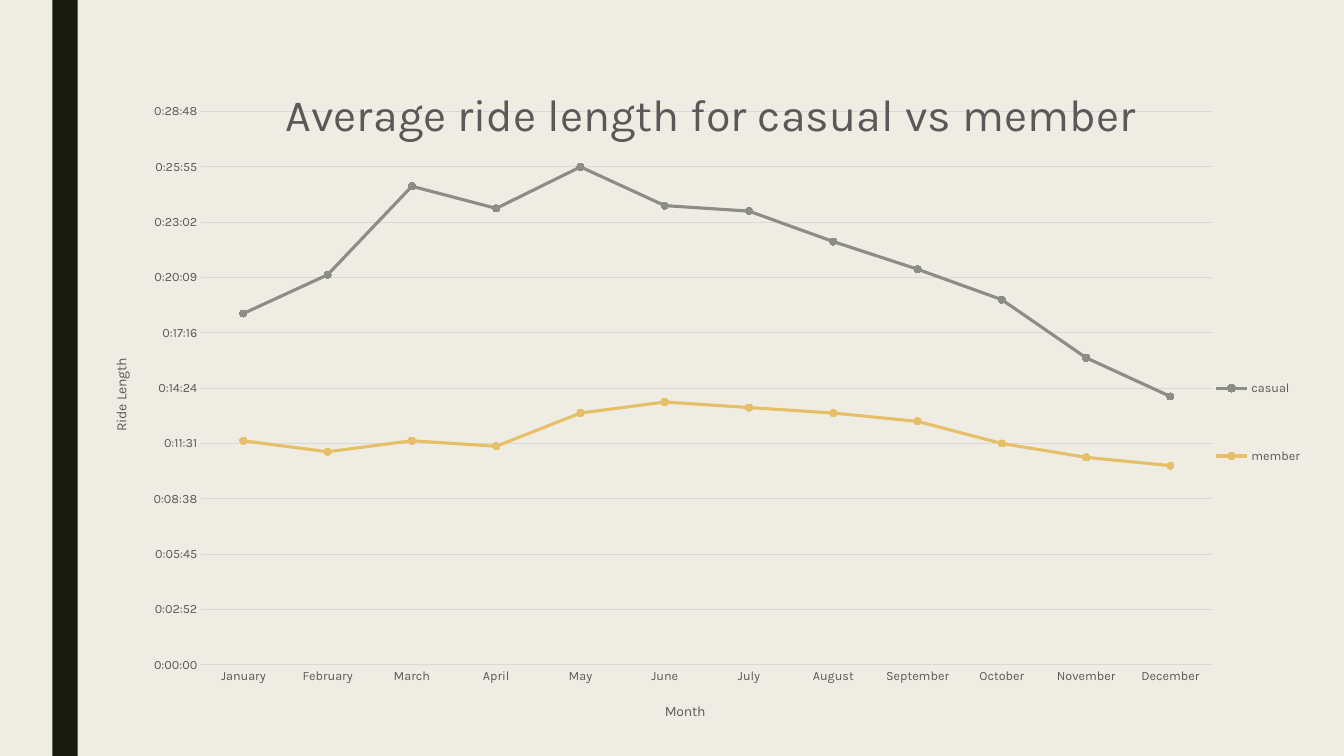
"""Build a slide with a line chart of average ride length by month and rider type."""
import pptx
import pptx.chart.data
import pptx.dml.color
import pptx.enum.chart
import pptx.enum.shapes
import pptx.oxml
import pptx.oxml.ns
import pptx.util

COLORS = {
    "background": "EFEDE3", "band": "191B0E", "text": "595959",
    "grid": "D9D9D9", "casual": "8C8D86", "member": "E6C069",
}
RIDE_LENGTHS = {
    "casual": (0.0127, 0.0141, 0.0173, 0.0165, 0.018, 0.0166,
               0.0164, 0.0153, 0.0143, 0.0132, 0.0111, 0.0097),
    "member": (0.0081, 0.0077, 0.0081, 0.0079, 0.0091, 0.0095,
               0.0093, 0.0091, 0.0088, 0.008, 0.0075, 0.0072),
}
MONTHS = ("January", "February", "March", "April", "May", "June", "July",
          "August", "September", "October", "November", "December")
FONT = "Karla"


def color(name):
    """Return the named colour."""
    return pptx.dml.color.RGBColor.from_string(COLORS[name])


def place(element, position, after=None, inner=False):
    """Give a chart part a manual layout in shares of the chart's size."""
    for layout in element.findall(pptx.oxml.ns.qn("c:layout")):
        element.remove(layout)
    target = '<c:layoutTarget val="inner"/>' if inner else ""
    modes = "".join(f'<c:{axis}Mode val="edge"/>' for axis in "xy")
    shares = "".join(f'<c:{key} val="{share}"/>' for key, share in zip("xywh", position))
    layout = pptx.oxml.parse_xml(
        f'<c:layout {pptx.oxml.ns.nsdecls("c")}><c:manualLayout>'
        f"{target}{modes}{shares}</c:manualLayout></c:layout>")
    if after:
        element.find(pptx.oxml.ns.qn(after)).addnext(layout)
    else:
        element.insert(0, layout)


presentation = pptx.Presentation()
presentation.slide_width = pptx.util.Inches(13.33)
presentation.slide_height = pptx.util.Inches(7.5)
width, height = presentation.slide_width, presentation.slide_height
slide = presentation.slides.add_slide(presentation.slide_layouts[6])
slide.background.fill.solid()
slide.background.fill.fore_color.rgb = color("background")

band = slide.shapes.add_shape(
    pptx.enum.shapes.MSO_SHAPE.RECTANGLE,
    pptx.util.Inches(0.52), 0, pptx.util.Inches(0.25), height)
band.shadow.inherit = False
band.fill.solid()
band.fill.fore_color.rgb = color("band")
band.line.fill.background()

chart_data = pptx.chart.data.CategoryChartData(number_format="h:mm:ss;@")
chart_data.categories = MONTHS
for rider, lengths in RIDE_LENGTHS.items():
    chart_data.add_series(rider, lengths)
chart = slide.shapes.add_chart(
    pptx.enum.chart.XL_CHART_TYPE.LINE_MARKERS,
    pptx.util.Inches(0.99), pptx.util.Inches(0.42),
    pptx.util.Inches(11.97), pptx.util.Inches(6.94), chart_data).chart
chart.font.name = FONT
chart.font.size = pptx.util.Pt(9)
chart.font.color.rgb = color("text")
chart.plots[0].vary_by_categories = False
plot_area = chart.element.find(".//" + pptx.oxml.ns.qn("c:plotArea"))
place(plot_area, (0.084, 0.099, 0.838, 0.791), inner=True)

month_axis, length_axis = chart.category_axis, chart.value_axis
for axis in (month_axis, length_axis):
    axis.major_tick_mark = pptx.enum.chart.XL_TICK_MARK.NONE
    axis.minor_tick_mark = pptx.enum.chart.XL_TICK_MARK.NONE
month_axis.format.line.color.rgb = color("grid")
month_axis.format.line.width = pptx.util.Pt(0.75)
length_axis.format.line.fill.background()
length_axis.minimum_scale = 0
length_axis.maximum_scale = 0.02
length_axis.major_unit = 0.002
length_axis.tick_labels.number_format = "h:mm:ss;@"
length_axis.tick_labels.number_format_is_linked = False
length_axis.major_gridlines.format.line.color.rgb = color("grid")
length_axis.major_gridlines.format.line.width = pptx.util.Pt(0.75)

titles = (
    (chart.chart_title, "Average ride length for casual vs member", 32, 0, (0.147, 0.049)),
    (month_axis.axis_title, "Month", 10, 0, (0.466, 0.94)),
    (length_axis.axis_title, "Ride Length", 10, -90, (0.008, 0.448)),
)
for title, text, size, angle, position in titles:
    title.text_frame.text = text
    paragraph = title.text_frame.paragraphs[0]
    for font in (paragraph.font, paragraph.runs[0].font):
        font.name = FONT
        font.size = pptx.util.Pt(size)
        font.bold = False
        font.color.rgb = color("text")
    body = title.element.find(".//" + pptx.oxml.ns.qn("a:bodyPr")) if hasattr(title, "element") \
        else title.text_frame._txBody.bodyPr
    body.set("rot", str(angle * 60000))
    place(title._element, position, after="c:tx")

chart.has_legend = True
chart.legend.position = pptx.enum.chart.XL_LEGEND_POSITION.BOTTOM
chart.legend.include_in_layout = False
chart.legend.font.name = FONT
chart.legend.font.size = pptx.util.Pt(9)
chart.legend.font.color.rgb = color("text")
place(chart.legend._element, (0.922, 0.408, 0.075, 0.27), after="c:legendPos")

for series in chart.plots[0].series:
    series.smooth = False
    series.format.line.color.rgb = color(series.name)
    series.format.line.width = pptx.util.Pt(2.25)
    series.marker.style = pptx.enum.chart.XL_MARKER_STYLE.CIRCLE
    series.marker.size = 5
    series.marker.format.fill.solid()
    series.marker.format.fill.fore_color.rgb = color(series.name)
    series.marker.format.line.color.rgb = color(series.name)

presentation.save("out.pptx")
